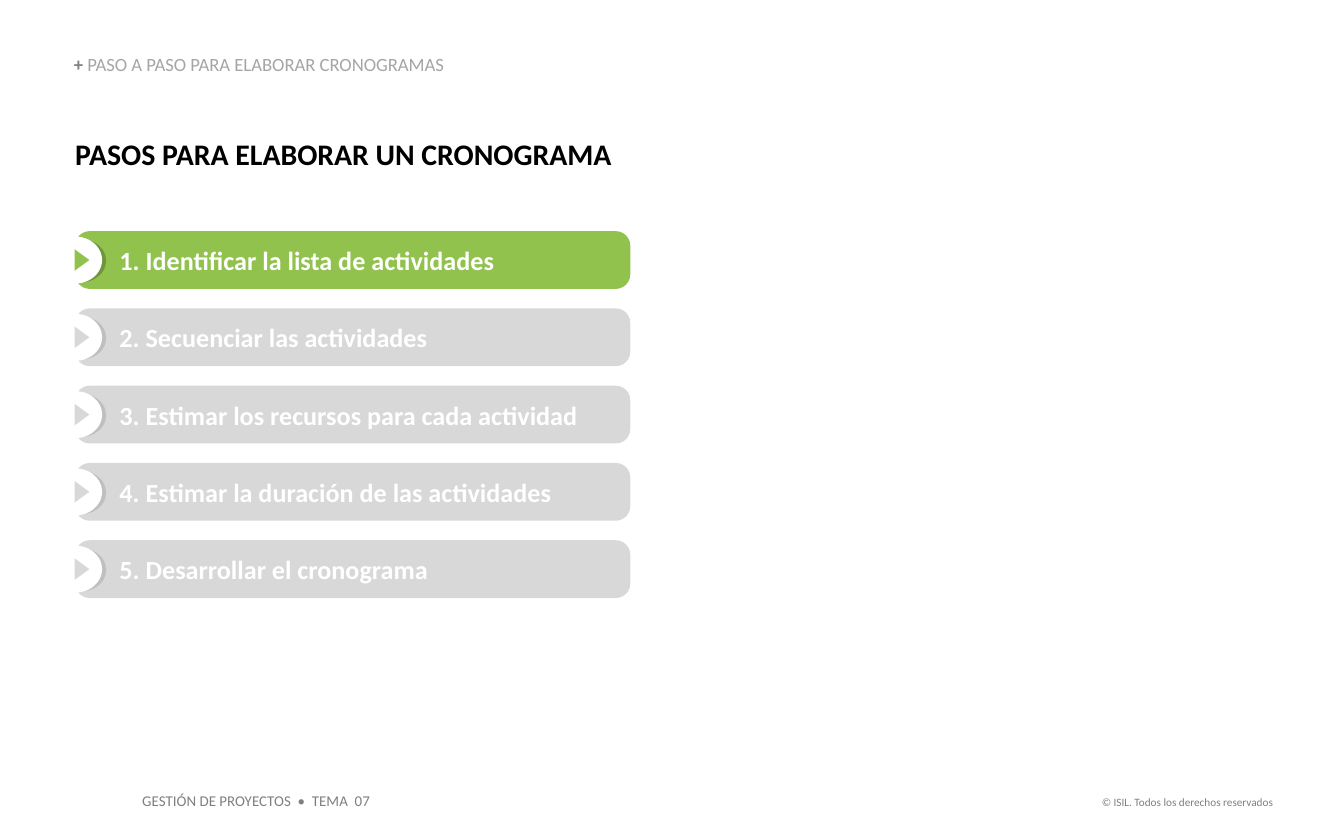
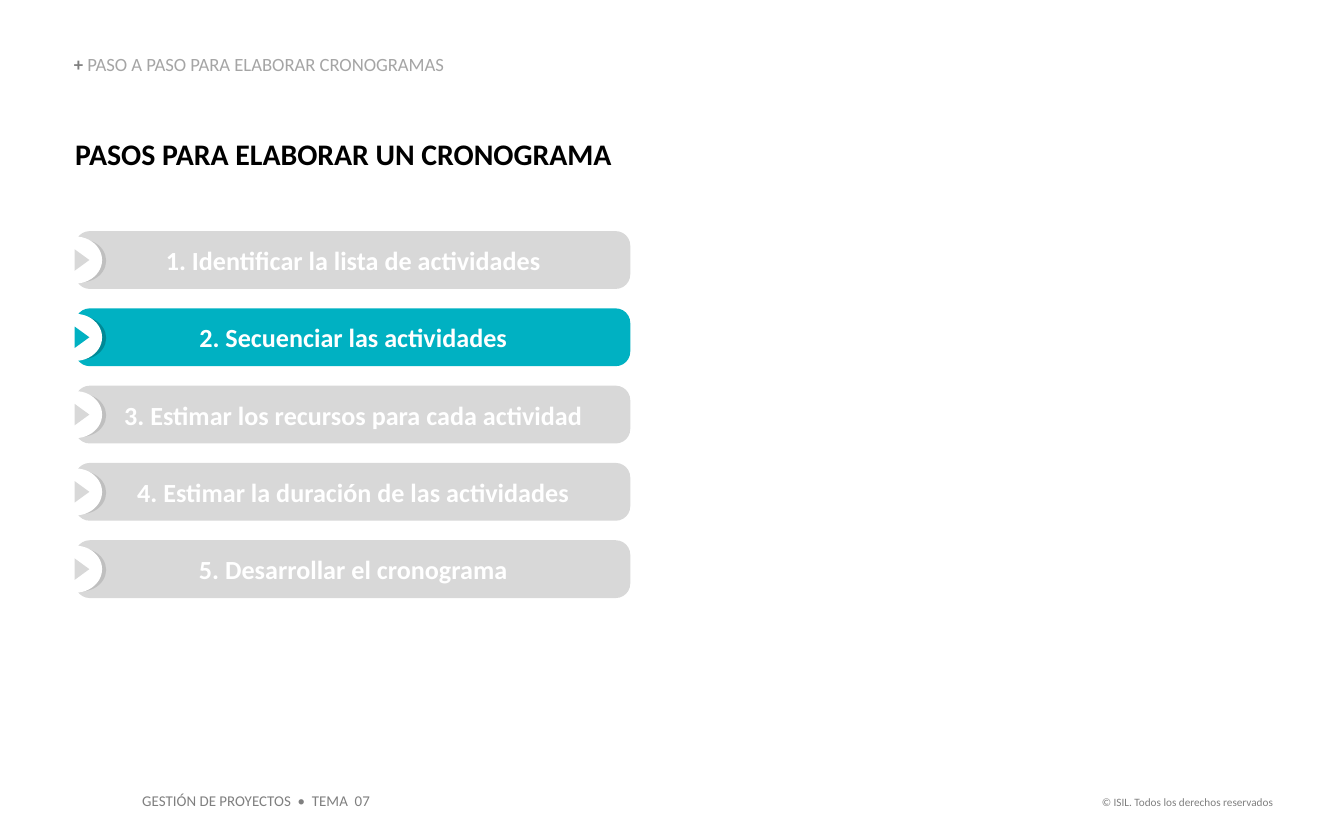
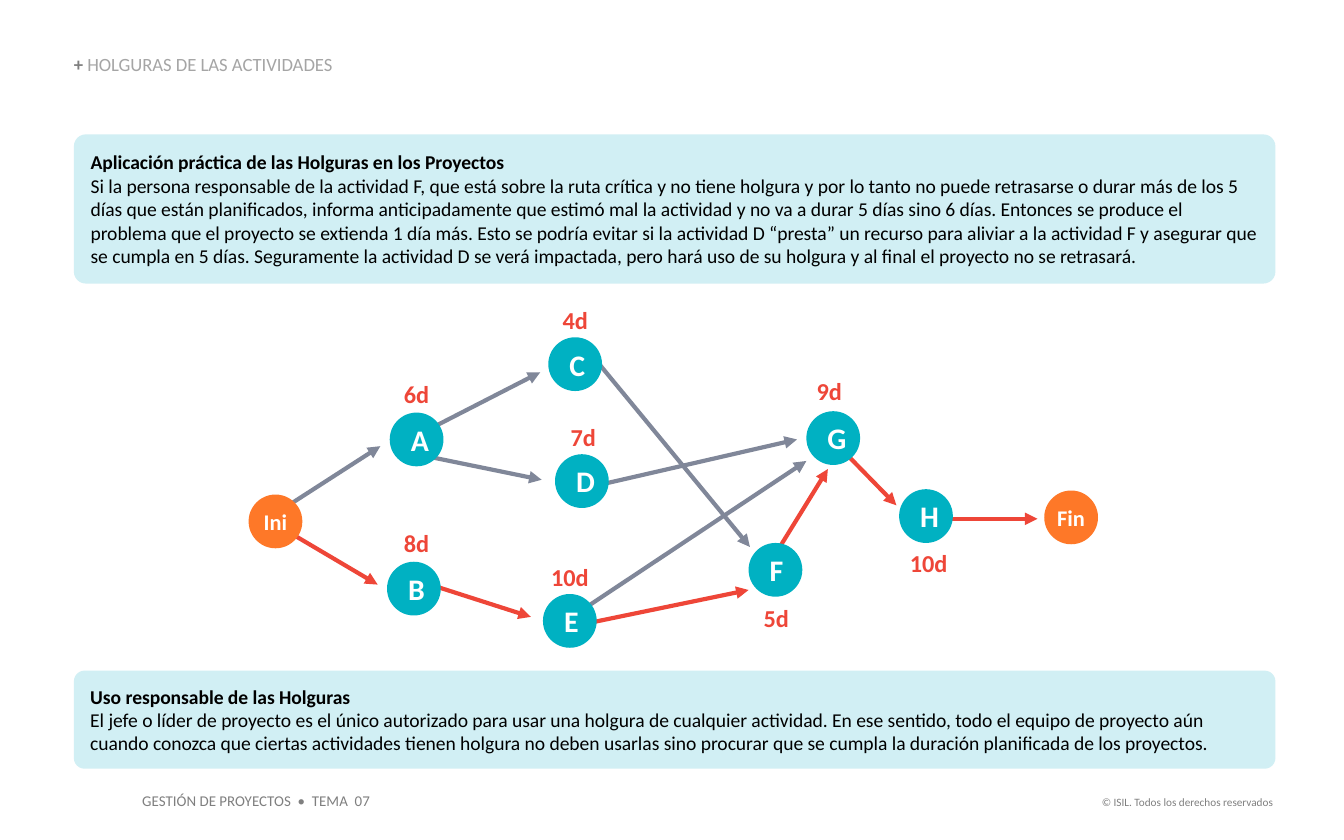
"""Build three slides on steps to plan a schedule and on slack in tasks."""
from dataclasses import dataclass
from typing import NamedTuple

from lxml import etree
from pptx import Presentation
from pptx.dml.color import RGBColor
from pptx.enum.shapes import MSO_CONNECTOR, MSO_SHAPE
from pptx.enum.text import MSO_ANCHOR, MSO_AUTO_SIZE, PP_ALIGN
from pptx.oxml.ns import qn
from pptx.presentation import Presentation as Deck
from pptx.shapes.autoshape import Shape
from pptx.shapes.shapetree import SlideShapes
from pptx.slide import Slide
from pptx.util import Inches, Pt

LEFT, MID, RIGHT = PP_ALIGN.LEFT, PP_ALIGN.CENTER, PP_ALIGN.RIGHT
TOP, CENTER, BOTTOM = MSO_ANCHOR.TOP, MSO_ANCHOR.MIDDLE, MSO_ANCHOR.BOTTOM
OVAL, RECT = MSO_SHAPE.OVAL, MSO_SHAPE.RECTANGLE
ROUND, WEDGE = MSO_SHAPE.ROUNDED_RECTANGLE, MSO_SHAPE.ISOSCELES_TRIANGLE
STRAIGHT = MSO_CONNECTOR.STRAIGHT
FIXED = MSO_AUTO_SIZE.NONE
TITLE_ONLY = 5


@dataclass(frozen=True)
class Theme:
    """Hold the colours and type sizes of the deck."""
    font: str = "Calibri"
    black: str = "000000"
    white: str = "FFFFFF"
    gray: str = "7F7F7F"
    soft: str = "A5A5A5"
    pale: str = "D8D8D8"
    shade: str = "BFBFBF"
    green: str = "92C24E"
    moss: str = "6F953D"
    teal: str = "00B1C2"
    deep: str = "008996"
    sky: str = "D1EFF4"
    red: str = "EE4638"
    slate: str = "808799"
    orange: str = "FE7828"
    legal: float = 6
    foot: float = 8
    head: float = 10
    body: float = 10.5
    end: float = 12
    days: float = 13
    step: float = 14
    title: float = 16
    arrow: float = 2.25
    edge: float = 2


THEME = Theme()


class Box(NamedTuple):
    """Place a shape, in inches."""
    x: float
    y: float
    w: float
    h: float


class Style(NamedTuple):
    """Set the look of a text."""
    size: float
    color: str
    bold: bool = False
    align: PP_ALIGN = LEFT
    anchor: MSO_ANCHOR = TOP
    tight: bool = False
    indent: float = 0


class Panel(NamedTuple):
    """Describe a note with a bold lead."""
    box: Box
    round: float
    lead: str
    text: str


class Node(NamedTuple):
    """Describe a task circle."""
    x: float
    y: float
    name: str


class Label(NamedTuple):
    """Describe a task length."""
    x: float
    y: float
    w: float
    text: str
    solid: bool = True


class Arrow(NamedTuple):
    """Describe an arrow by its two ends."""
    x1: float
    y1: float
    x2: float
    y2: float


STEPS = (
    "1. Identificar la lista de actividades",
    "2. Secuenciar las actividades",
    "3. Estimar los recursos para cada actividad",
    "4. Estimar la duración de las actividades",
    "5. Desarrollar el cronograma",
)
FIRST, LAST = 1.72, 4.02
PITCH = (LAST - FIRST) / (len(STEPS) - 1)

PANELS = (
    Panel(Box(0.55, 1, 8.94, 1.11), 0.08,
          "Aplicación práctica de las Holguras en los Proyectos",
          "Si la persona responsable de la actividad F, que está sobre la ruta "
          "crítica y no tiene holgura y por lo tanto no puede retrasarse o durar "
          "más de los 5 días que están planificados, informa anticipadamente que "
          "estimó mal la actividad y no va a durar 5 días sino 6 días. Entonces se "
          "produce el problema que el proyecto se extienda 1 día más. Esto se "
          "podría evitar si la actividad D “presta” un recurso para aliviar a la "
          "actividad F y asegurar que se cumpla en 5 días. Seguramente la "
          "actividad D se verá impactada, pero hará uso de su holgura y al final "
          "el proyecto no se retrasará."),
    Panel(Box(0.55, 4.99, 8.94, 0.73), 0.11,
          "Uso responsable de las Holguras",
          "El jefe o líder de proyecto es el único autorizado para usar una "
          "holgura de cualquier actividad. En ese sentido, todo el equipo de "
          "proyecto aún cuando conozca que ciertas actividades tienen holgura no "
          "deben usarlas sino procurar que se cumpla la duración planificada de "
          "los proyectos."),
)
LABELS = (
    Label(2.91, 2.74, 0.38, "6d"),
    Label(4.09, 2.19, 0.38, "4d"),
    Label(4.15, 3.06, 0.38, "7d"),
    Label(6, 2.72, 0.34, "9d"),
    Label(2.91, 3.85, 0.38, "8d"),
    Label(4.05, 4.1, 0.38, "10d"),
    Label(5.4, 4.41, 0.75, "5d", False),
    Label(6.74, 4, 0.34, "10d"),
)
CRITICAL = (
    Arrow(2.15, 3.96, 2.81, 4.35),
    Arrow(3.2, 4.35, 3.95, 4.59),
    Arrow(4.36, 4.64, 5.57, 4.39),
    Arrow(5.79, 4.09, 6.16, 3.49),
    Arrow(6.24, 3.32, 6.67, 3.76),
    Arrow(6.98, 3.86, 7.72, 3.86),
)
OTHERS = (
    Arrow(2.1, 3.79, 2.83, 3.32),
    Arrow(3.22, 3.18, 4.02, 2.77),
    Arrow(3.15, 3.39, 4.03, 3.57),
    Arrow(4.36, 4.52, 6, 3.43),
    Arrow(4.45, 3.61, 5.93, 3.27),
    Arrow(4.41, 2.65, 5.58, 4.07),
)
TASKS = (
    Node(4.08, 2.51, "C"),
    Node(2.9, 3.07, "A"),
    Node(4.13, 3.38, "D"),
    Node(2.88, 4.18, "B"),
    Node(4.04, 4.42, "E"),
    Node(5.57, 4.04, "F"),
    Node(6, 3.06, "G"),
    Node(6.69, 3.64, "H"),
)
ENDS = (Node(1.85, 3.68, "Ini"), Node(7.77, 3.65, "Fin"))


def paint(color: str) -> RGBColor:
    """Turn a hex code into a colour."""
    return RGBColor.from_string(color)


def set_frame(shape: Shape, style: Style) -> None:
    """Set wrap, anchor and margins of a text frame."""
    frame = shape.text_frame
    frame.word_wrap = True
    frame.auto_size = FIXED
    frame.vertical_anchor = style.anchor
    if style.tight:
        frame.margin_left = frame.margin_right = 0
        frame.margin_top = frame.margin_bottom = 0


def write(shape: Shape, text: str, style: Style) -> None:
    """Fill a shape with one styled paragraph."""
    set_frame(shape, style)
    line = shape.text_frame.paragraphs[0]
    line.text = text
    line.alignment = style.align
    if style.indent:
        props = line._p.get_or_add_pPr()
        props.set("marL", str(Inches(style.indent)))
        props.set("indent", "0")
    line.font.name = THEME.font
    line.font.size = Pt(style.size)
    line.font.bold = style.bold
    line.font.color.rgb = paint(style.color)


def add_text(slide: Slide, box: Box, text: str, style: Style) -> None:
    """Add a text box."""
    write(slide.shapes.add_textbox(*map(Inches, box)), text, style)


def add_form(shapes: SlideShapes, kind: MSO_SHAPE, box: Box,
             fill: str | None) -> Shape:
    """Add a flat shape with no outline."""
    form = shapes.add_shape(kind, *map(Inches, box))
    form.shadow.inherit = False
    form.line.fill.background()
    if fill:
        form.fill.solid()
        form.fill.fore_color.rgb = paint(fill)
    else:
        form.fill.background()
    return form


def add_slide(deck: Deck, topic: str) -> Slide:
    """Add a slide with its topic line and footers."""
    slide = deck.slides.add_slide(deck.slide_layouts[TITLE_ONLY])
    add_text(slide, Box(7.91, 5.87, 1.66, 0.2),
             "© ISIL. Todos los derechos reservados",
             Style(THEME.legal, THEME.gray, align=RIGHT))
    add_text(slide, Box(0.96, 5.84, 1.9, 0.24),
             "GESTIÓN DE PROYECTOS  •  TEMA  07", Style(THEME.foot, THEME.gray))
    title = slide.shapes.title
    title.left, title.top, title.width, title.height = map(
        Inches, Box(0.55, 0.41, 3.34, 0.15))
    set_frame(title, Style(THEME.head, THEME.soft, anchor=BOTTOM, tight=True))
    line = title.text_frame.paragraphs[0]
    line.alignment = LEFT
    line.line_spacing = 0.9
    line.font.name = THEME.font
    line.font.size = Pt(THEME.head)
    for text, color, bold in (("+ ", THEME.gray, True), (topic, THEME.soft, False)):
        run = line.add_run()
        run.text = text
        run.font.bold = bold
        run.font.color.rgb = paint(color)
    return slide


def add_step(slide: Slide, y: float, text: str, fill: str, shade: str,
             style: Style) -> None:
    """Add one step bar with its round tab."""
    shapes = slide.shapes.add_group_shape().shapes
    bar = add_form(shapes, ROUND, Box(0.56, y, 4.13, 0.43), fill)
    bar.adjustments[0] = 0.25
    write(bar, text, style)
    add_form(shapes, OVAL, Box(0.42, y + 0.06, 0.37, 0.32), shade)
    add_form(shapes, OVAL, Box(0.36, y + 0.04, 0.4, 0.35), THEME.white)
    add_form(shapes, WEDGE, Box(0.53, y + 0.16, 0.16, 0.11), fill).rotation = 90


def add_steps(deck: Deck, active: int, fill: str, shade: str, align: PP_ALIGN,
              indent: float) -> None:
    """Add the list of steps with one of them lit."""
    slide = add_slide(deck, "PASO A PASO PARA ELABORAR CRONOGRAMAS")
    add_text(slide, Box(0.56, 1.01, 8.05, 0.27),
             "PASOS PARA ELABORAR UN CRONOGRAMA",
             Style(THEME.title, THEME.black, True, tight=True))
    style = Style(THEME.step, THEME.white, True, align, CENTER, indent=indent)
    for row, text in enumerate(STEPS):
        pair = (fill, shade) if row == active else (THEME.pale, THEME.shade)
        add_step(slide, FIRST + row * PITCH, text, *pair, style)


def add_panel(slide: Slide, panel: Panel) -> None:
    """Add a note with a bold lead and plain text."""
    form = add_form(slide.shapes, ROUND, panel.box, THEME.sky)
    form.adjustments[0] = panel.round
    style = Style(THEME.body, THEME.black, True, anchor=CENTER)
    write(form, panel.lead, style)
    line = form.text_frame.add_paragraph()
    line.text = panel.text
    line.alignment = LEFT
    line.font.name = THEME.font
    line.font.size = Pt(style.size)
    line.font.bold = False
    line.font.color.rgb = paint(style.color)


def add_label(slide: Slide, label: Label) -> None:
    """Add the length of a task."""
    form = add_form(slide.shapes, RECT, Box(label.x, label.y, label.w, 0.38),
                    THEME.white if label.solid else None)
    form.line.color.rgb = paint(THEME.white)
    form.line.width = Pt(THEME.edge)
    write(form, label.text,
          Style(THEME.days, THEME.red, True, MID, CENTER, tight=True))


def add_arrow(slide: Slide, arrow: Arrow, color: str) -> None:
    """Add an arrow between two tasks."""
    link = slide.shapes.add_connector(STRAIGHT, *map(Inches, arrow))
    link.line.color.rgb = paint(color)
    link.line.width = Pt(THEME.arrow)
    etree.SubElement(link.line._get_or_add_ln(), qn("a:tailEnd"), type="triangle")
    etree.SubElement(link._element.spPr, qn("a:effectLst"))


def add_node(slide: Slide, node: Node, fill: str, size: float, tight: bool) -> None:
    """Add a task circle."""
    form = add_form(slide.shapes, OVAL, Box(node.x, node.y, 0.4, 0.4), fill)
    write(form, node.name, Style(size, THEME.white, True, MID, CENTER, tight))


def add_slack(deck: Deck) -> None:
    """Add the task network between its two notes."""
    slide = add_slide(deck, "HOLGURAS DE LAS ACTIVIDADES")
    for panel in PANELS:
        add_panel(slide, panel)
    for label in LABELS:
        add_label(slide, label)
    for arrows, color in ((CRITICAL, THEME.red), (OTHERS, THEME.slate)):
        for arrow in arrows:
            add_arrow(slide, arrow, color)
    for node in TASKS:
        add_node(slide, node, THEME.teal, THEME.title, False)
    for node in ENDS:
        add_node(slide, node, THEME.orange, THEME.end, True)


def main() -> None:
    """Build and save the deck."""
    deck = Presentation()
    deck.slide_width, deck.slide_height = Inches(10), Inches(6.25)
    add_steps(deck, 0, THEME.green, THEME.moss, LEFT, 0.2)
    add_steps(deck, 1, THEME.teal, THEME.deep, MID, 0.01)
    add_slack(deck)
    deck.save("out.pptx")


if __name__ == "__main__":
    main()
